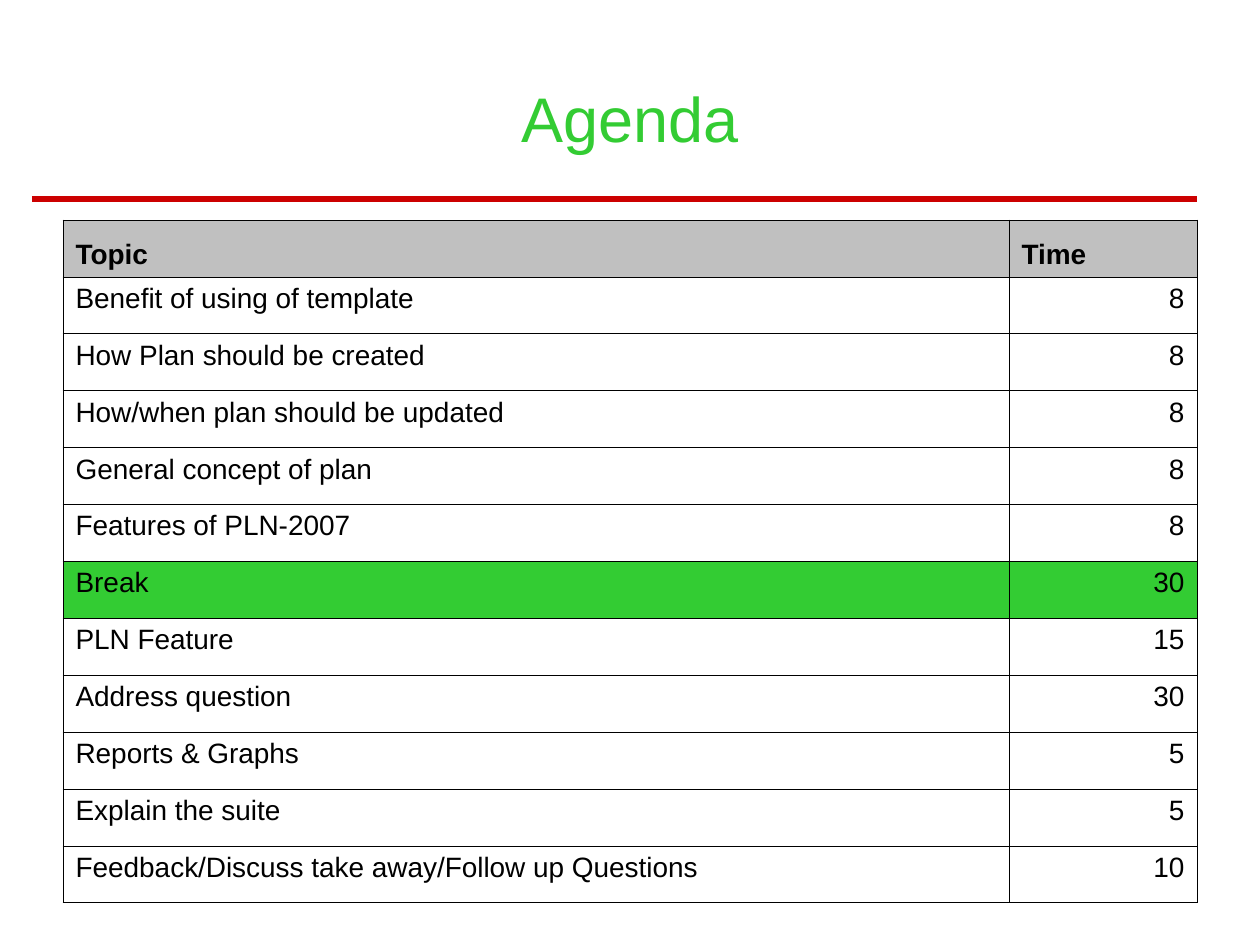
from lxml import etree
from pptx import Presentation, util as u
from pptx.dml.color import RGBColor
from pptx.enum import shapes, text
from pptx.oxml import ns

PX = u.Inches(1) / 126
FONT = "Arial"
GREEN = RGBColor(0x33, 0xCC, 0x33)
RED = RGBColor(0xCC, 0x00, 0x00)
GREY = RGBColor(0xC0, 0xC0, 0xC0)
BLACK = RGBColor(0x00, 0x00, 0x00)

HEADER = ("Topic", "Time")
BREAK = "Break"
AGENDA = [
    ("Benefit of using of template", 8),
    ("How Plan should be created", 8),
    ("How/when plan should be updated", 8),
    ("General concept of plan", 8),
    ("Features of PLN-2007", 8),
    (BREAK, 30),
    ("PLN Feature", 15),
    ("Address question", 30),
    ("Reports & Graphs", 5),
    ("Explain the suite", 5),
    ("Feedback/Discuss take away/Follow up Questions", 10),
]


def px(length):
    return u.Emu(round(length * PX))


def format_runs(paragraph, size, color, bold=False):
    for run in paragraph.runs:
        run.font.name = FONT
        run.font.size = u.Pt(size)
        run.font.bold = bold
        run.font.color.rgb = color


def place_title(slide, left, top, width, height):
    title = slide.shapes.title
    title.left, title.top, title.width, title.height = map(px, (left, top, width, height))
    frame = title.text_frame
    frame.text = "Agenda"
    frame.vertical_anchor = text.MSO_ANCHOR.MIDDLE
    heading = frame.paragraphs[0]
    heading.alignment = text.PP_ALIGN.CENTER
    format_runs(heading, 36, GREEN)


def add_rule(slide, left, top, width):
    rule = slide.shapes.add_connector(
        shapes.MSO_CONNECTOR.STRAIGHT, px(left), px(top), px(left + width), px(top))
    rule.line.color.rgb = RED
    rule.line.width = u.Pt(3)
    etree.SubElement(rule._element.spPr, ns.qn("a:effectLst"))


def add_borders(cell):
    properties = cell._tc.get_or_add_tcPr()
    for side in ("lnL", "lnR", "lnT", "lnB"):
        border = etree.SubElement(properties, ns.qn(f"a:{side}"), w=str(u.Pt(0.45)))
        fill = etree.SubElement(border, ns.qn("a:solidFill"))
        etree.SubElement(fill, ns.qn("a:srgbClr"), val=str(BLACK))


def fill_cell(cell, value, is_header, background):
    add_borders(cell)
    if background is None:
        cell.fill.background()
    else:
        cell.fill.solid()
        cell.fill.fore_color.rgb = background
    cell.vertical_anchor = text.MSO_ANCHOR.BOTTOM if is_header else text.MSO_ANCHOR.TOP
    entry = cell.text_frame.paragraphs[0]
    entry.text = str(value)
    hanging = px(48)
    indents = entry._p.get_or_add_pPr()
    indents.set("marL", str(hanging))
    indents.set("indent", str(-hanging))
    entry.alignment = text.PP_ALIGN.RIGHT if isinstance(value, int) else text.PP_ALIGN.LEFT
    format_runs(entry, 16, BLACK, bold=is_header)


def add_agenda(slide, left, top, width, height):
    rows = [HEADER] + AGENDA
    table = slide.shapes.add_table(
        len(rows), len(HEADER), px(left), px(top), px(width), px(height)).table
    table.first_row = table.horz_banding = False
    time_width = 188
    table.columns[0].width = px(width - time_width)
    table.columns[1].width = px(time_width)
    for row_index, row in enumerate(rows):
        is_header = row is HEADER
        background = GREY if is_header else GREEN if row[0] == BREAK else None
        for column, value in enumerate(row):
            fill_cell(table.cell(row_index, column), value, is_header, background)


def main():
    deck = Presentation()
    deck.slide_width, deck.slide_height = px(1260), px(945)
    slide = deck.slides.add_slide(deck.slide_layouts[5])
    add_rule(slide, 32, 199, 1165)
    place_title(slide, 63, 38, 1134, 158)
    add_agenda(slide, 63, 220, 1134, 683)
    deck.save("out.pptx")


if __name__ == "__main__":
    main()
